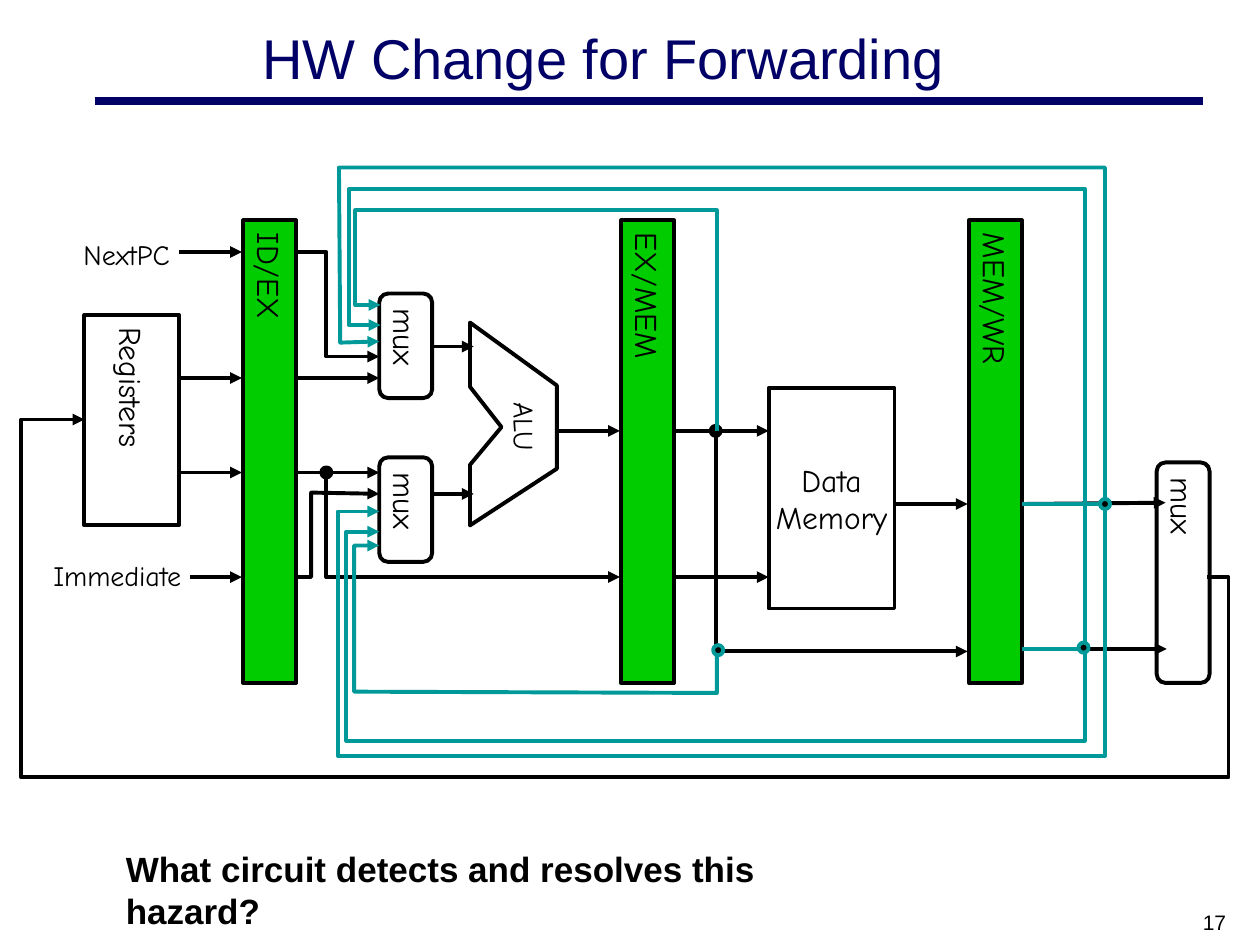
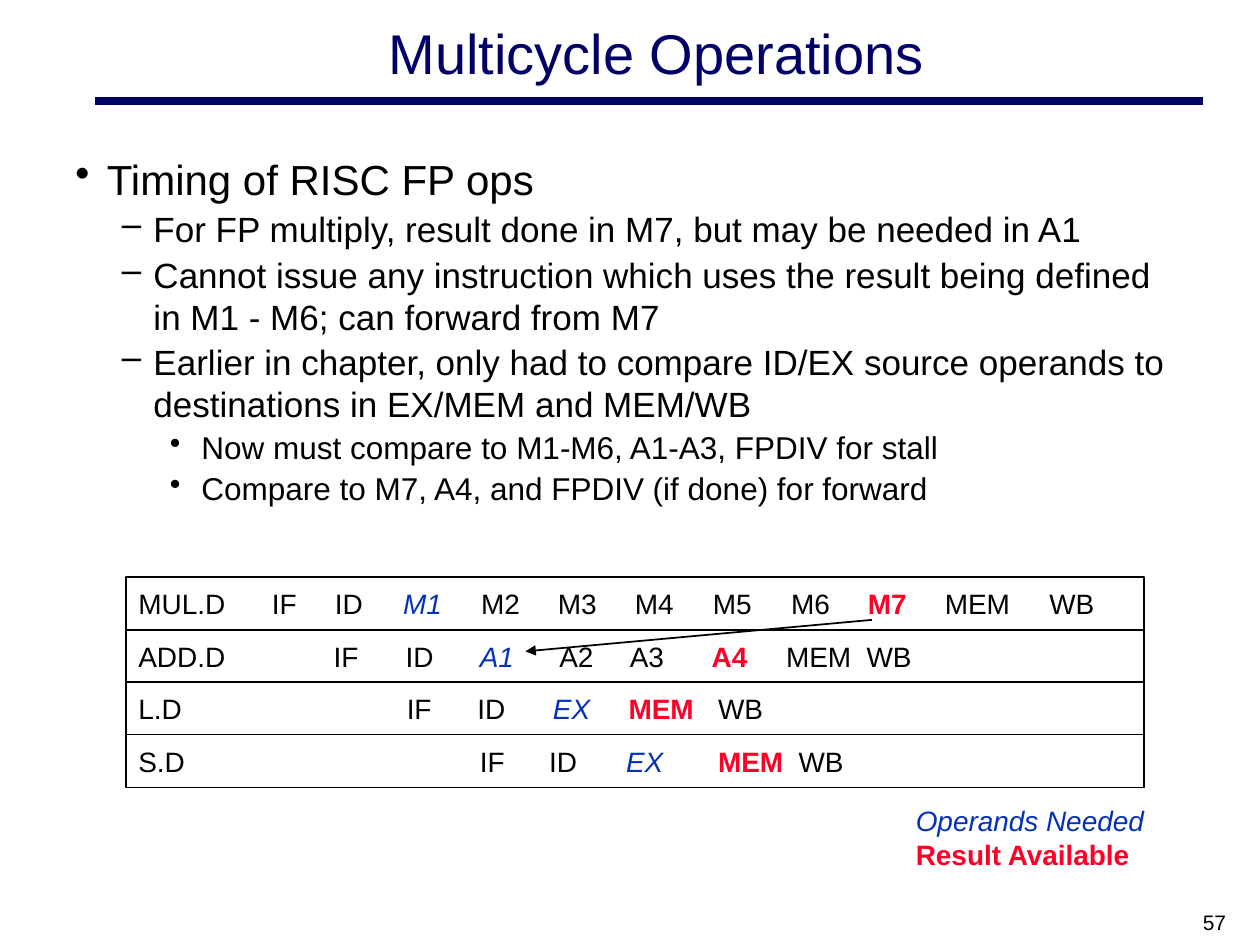
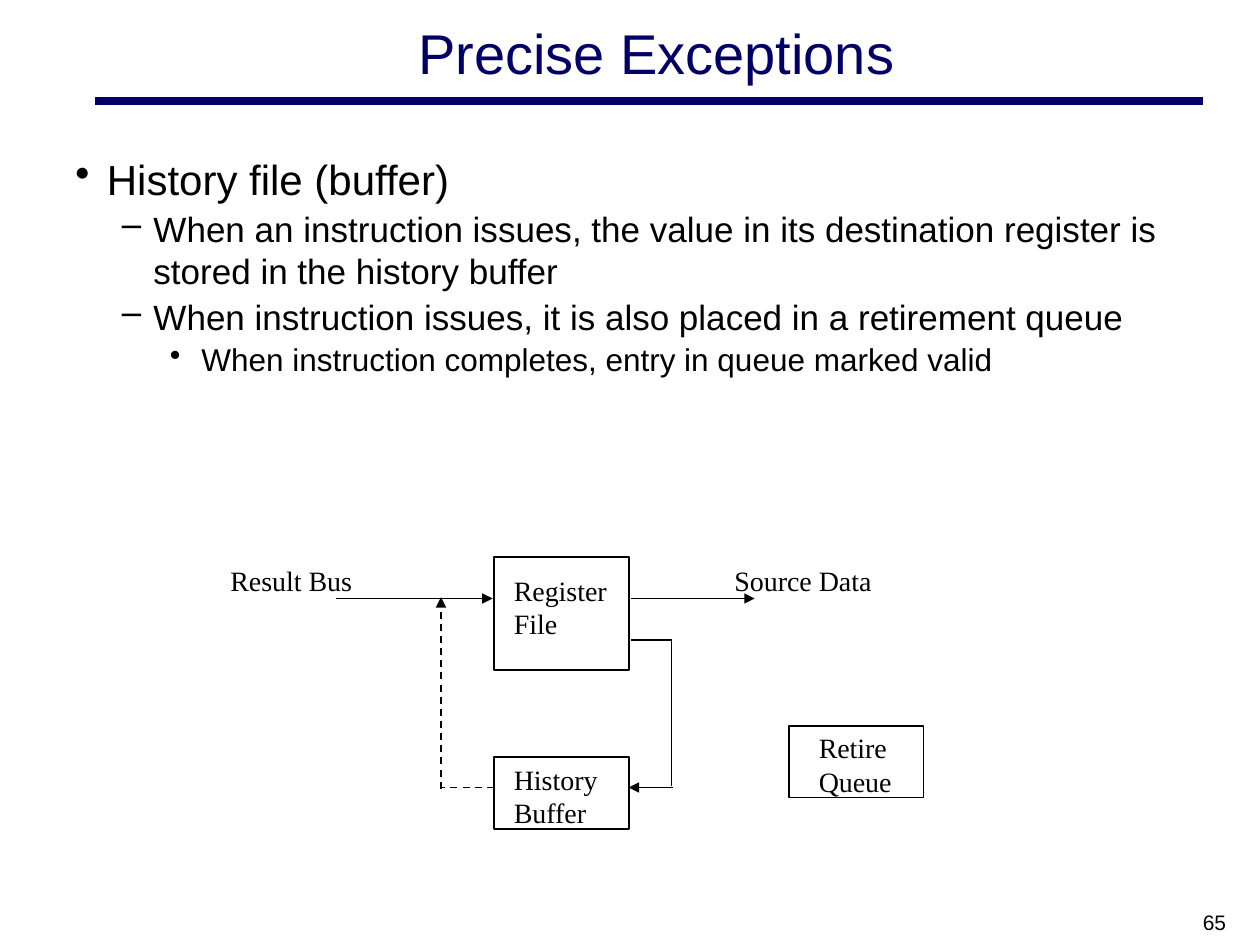
from dataclasses import dataclass
from typing import NamedTuple

from lxml.etree import SubElement
from pptx import Presentation
from pptx.dml.color import RGBColor
from pptx.enum.dml import MSO_LINE
from pptx.enum.shapes import MSO_CONNECTOR, MSO_SHAPE
from pptx.enum.text import MSO_ANCHOR, PP_ALIGN
from pptx.oxml.ns import qn
from pptx.shapes.autoshape import Shape
from pptx.slide import Slide
from pptx.util import Emu, Pt

PX = 9144
SLIDE_WIDTH, SLIDE_HEIGHT = 1000, 750
COLORS = {
    "navy": "000066",
    "black": "000000",
    "white": "FFFFFF",
    "latch": "00CC00",
    "forward": "009999",
    "needed": "0332B7",
    "available": "FC0128",
}
SANS, COMIC, SERIF = "Arial", "Comic Neue", "Times New Roman"
THICK, THIN = 2.25, 1


class Place(NamedTuple):
    left: int
    top: int
    width: int
    height: int

    def emu(self) -> list[Emu]:
        return [Emu(length * PX) for length in self]


class Level(NamedTuple):
    margin: int
    bullet: str
    size: int


class Stage(NamedTuple):
    name: str
    stop: int
    role: str = ""


@dataclass(frozen=True)
class Style:
    font: str = SANS
    size: int = 16
    color: str = "black"
    bold: bool = False
    italic: bool = False
    align: PP_ALIGN = PP_ALIGN.LEFT
    anchor: MSO_ANCHOR = MSO_ANCHOR.TOP
    wrap: bool = False
    vertical: bool = False
    inset_top: int = 5


@dataclass(frozen=True)
class Label:
    place: Place
    text: str
    style: Style
    rotation: int = 0


@dataclass(frozen=True)
class Block:
    place: Place
    text: str = ""
    style: Style = Style()
    kind: MSO_SHAPE = MSO_SHAPE.RECTANGLE
    fill: str = ""
    outline: str = "black"
    weight: float = THICK


@dataclass(frozen=True)
class Wire:
    points: tuple[tuple[int, int], ...]
    color: str = "black"
    weight: float = THICK
    arrow: bool = True
    dashed: bool = False


PART = Style(COMIC, 18, align=PP_ALIGN.CENTER, anchor=MSO_ANCHOR.MIDDLE)
UPRIGHT = Style(COMIC, 18, align=PP_ALIGN.CENTER, anchor=MSO_ANCHOR.MIDDLE, vertical=True)
SIGNAL = Style(COMIC, 16, align=PP_ALIGN.CENTER, anchor=MSO_ANCHOR.MIDDLE)
DIAGRAM = Style(SERIF, 16)
LEVELS = (Level(25, "•", 24), Level(62, "–", 20), Level(100, "•", 18))


def rgb(color: str) -> RGBColor:
    return RGBColor.from_string(COLORS[color])


def write_text(shape: Shape, text: str, style: Style) -> None:
    frame = shape.text_frame
    frame.word_wrap = style.wrap
    frame.vertical_anchor = style.anchor
    frame.margin_left = frame.margin_right = Emu(10 * PX)
    frame.margin_top, frame.margin_bottom = Emu(style.inset_top * PX), Emu(5 * PX)
    if style.vertical:
        shape.element.txBody.bodyPr.set("vert", "eaVert")
    frame.text = text
    for paragraph in frame.paragraphs:
        paragraph.alignment = style.align
        paragraph.font.name = style.font
        paragraph.font.size = Pt(style.size)
        paragraph.font.bold = style.bold
        paragraph.font.italic = style.italic
        paragraph.font.color.rgb = rgb(style.color)


def draw_label(slide: Slide, label: Label) -> None:
    shape = slide.shapes.add_textbox(*label.place.emu())
    shape.rotation = label.rotation
    write_text(shape, label.text, label.style)


def paint(shape: Shape, fill: str, outline: str, weight: float) -> None:
    shape.shadow.inherit = False
    if fill:
        shape.fill.solid()
        shape.fill.fore_color.rgb = rgb(fill)
    else:
        shape.fill.background()
    shape.line.color.rgb = rgb(outline)
    shape.line.width = Pt(weight)


def draw_block(slide: Slide, block: Block) -> Shape:
    shape = slide.shapes.add_shape(block.kind, *block.place.emu())
    if block.kind == MSO_SHAPE.ROUNDED_RECTANGLE:
        shape.adjustments[0] = 0.167
    paint(shape, block.fill, block.outline, block.weight)
    if block.text:
        write_text(shape, block.text, block.style)
    return shape


def draw_path(slide: Slide, points: tuple[tuple[int, int], ...], color: str,
              weight: float, close: bool = False) -> Shape:
    builder = slide.shapes.build_freeform(*points[0], scale=PX)
    builder.add_line_segments(points[1:], close=close)
    outline = builder.convert_to_shape()
    paint(outline, "", color, weight)
    return outline


def draw_wire(slide: Slide, wire: Wire) -> None:
    if len(wire.points) == 2:
        ends = [Emu(value * PX) for point in wire.points for value in point]
        path = slide.shapes.add_connector(MSO_CONNECTOR.STRAIGHT, *ends)
        path.line.color.rgb = rgb(wire.color)
        path.line.width = Pt(wire.weight)
        SubElement(path.element.spPr, qn("a:effectLst"))
    else:
        path = draw_path(slide, wire.points, wire.color, wire.weight)
    if wire.dashed:
        path.line.dash_style = MSO_LINE.DASH
    if wire.arrow:
        SubElement(path.element.spPr.find(qn("a:ln")), qn("a:tailEnd"), type="triangle")


def draw_dot(slide: Slide, left: int, top: int, outline: str = "black") -> None:
    draw_block(slide, Block(Place(left, top, 8, 8), kind=MSO_SHAPE.OVAL,
                            fill="black", outline=outline))


def start_slide(deck: Presentation, title: str, number: int,
                title_place: Place = Place(92, 8, 858, 67), inset_top: int = 7) -> Slide:
    slide = deck.slides.add_slide(deck.slide_layouts[6])
    draw_wire(slide, Wire(((75, 80), (955, 80)), "navy", 4.5, arrow=False))
    heading = Style(size=32, color="navy", align=PP_ALIGN.CENTER, wrap=True,
                    inset_top=inset_top)
    draw_label(slide, Label(title_place, title, heading))
    footer = Style(size=12, align=PP_ALIGN.RIGHT, wrap=True)
    draw_label(slide, Label(Place(750, 717, 233, 25), str(number), footer))
    return slide


def draw_outline(slide: Slide, points: list[tuple[int, str]]) -> None:
    body = slide.shapes.add_textbox(*Place(50, 117, 900, 553).emu())
    write_text(body, "\n".join(text for _, text in points), Style(wrap=True))
    for paragraph, (depth, _) in zip(body.text_frame.paragraphs, points):
        level = LEVELS[depth]
        paragraph.level = depth
        paragraph.font.size = Pt(level.size)
        paragraph.space_before = Pt(level.size / 10)
        properties = paragraph.font._element.getparent()
        properties.set("marL", str(level.margin * PX))
        properties.set("indent", str(-25 * PX))
        bullet = SubElement(properties, qn("a:buChar"), char=level.bullet)
        properties.find(qn("a:defRPr")).addprevious(bullet)


def build_forwarding(deck: Presentation) -> None:
    slide = start_slide(deck, "HW Change for Forwarding", 17, Place(80, 19, 798, 81), 0)

    for left, latch in ((769, "MEM/WR"), (193, "ID/EX"), (493, "EX/MEM")):
        draw_block(slide, Block(Place(left, 175, 42, 367), latch, UPRIGHT, fill="latch"))
    draw_block(slide, Block(Place(610, 308, 100, 175), "Data\nMemory", PART))
    draw_block(slide, Block(Place(67, 250, 75, 167), "Registers", UPRIGHT))
    for mux in (Place(301, 233, 42, 83), Place(301, 363, 42, 83), Place(918, 367, 42, 175)):
        draw_block(slide, Block(mux, "mux", UPRIGHT, MSO_SHAPE.ROUNDED_RECTANGLE))

    alu = ((373, 256), (442, 306), (442, 372), (373, 417), (373, 369), (398, 339), (373, 307))
    draw_path(slide, alu, "black", THICK, close=True)
    draw_label(slide, Label(Place(384, 320, 65, 37), "ALU", SIGNAL, 90))
    draw_label(slide, Label(Place(51, 183, 99, 37), "NextPC", SIGNAL))
    draw_label(slide, Label(Place(27, 438, 132, 37), "Immediate", SIGNAL))

    datapath = (
        ((342, 275), (376, 275)),
        ((342, 392), (376, 392)),
        ((142, 300), (192, 300)),
        ((142, 375), (192, 375)),
        ((234, 300), (301, 300)),
        ((234, 375), (301, 375)),
        ((142, 200), (192, 200)),
        ((234, 200), (259, 200), (259, 283), (301, 283)),
        ((151, 458), (192, 458)),
        ((234, 458), (247, 458), (247, 391), (301, 392)),
        ((259, 375), (259, 458), (492, 458)),
        ((534, 458), (610, 458)),
        ((442, 342), (492, 342)),
        ((534, 342), (610, 342)),
        ((710, 400), (768, 400)),
        ((568, 342), (568, 517), (768, 517)),
        ((813, 515), (926, 515)),
        ((811, 400), (925, 399)),
        ((958, 458), (975, 458), (975, 617), (17, 617), (17, 333), (67, 333)),
    )
    for points in datapath:
        draw_wire(slide, Wire(points))
    draw_dot(slide, 564, 338)
    draw_dot(slide, 255, 371)

    forwarding = (
        ((569, 517), (569, 550), (281, 549), (281, 433), (301, 433)),
        ((877, 400), (877, 133), (269, 133), (270, 272), (301, 271)),
        ((811, 515), (861, 515), (861, 588), (275, 588), (275, 422), (301, 422)),
        ((811, 400), (877, 400), (877, 600), (268, 600), (268, 406), (301, 406)),
        ((569, 342), (569, 167), (282, 167), (282, 242), (302, 242)),
        ((861, 517), (861, 150), (277, 150), (277, 258), (302, 258)),
    )
    for points in forwarding:
        draw_wire(slide, Wire(points, "forward"))
    for left, top in ((566, 512), (856, 510), (873, 396)):
        draw_dot(slide, left, top, "forward")

    question = "What circuit detects and resolves this hazard?"
    draw_label(slide, Label(Place(90, 668, 610, 43), question,
                            Style(size=20, bold=True, wrap=True)))


def draw_timing(slide: Slide, top: int, operation: str, stages: tuple[Stage, ...]) -> None:
    style = Style(anchor=MSO_ANCHOR.MIDDLE, wrap=True)
    row = draw_block(slide, Block(Place(100, top, 808, 42), operation, style,
                                  fill="white", weight=THIN))
    paragraph = row.text_frame.paragraphs[0]
    defaults = paragraph.font._element
    stops = SubElement(defaults.getparent(), qn("a:tabLst"))
    defaults.addprevious(stops)
    for stage in stages:
        SubElement(stops, qn("a:tab"), pos=str(stage.stop * PX), algn="l")
        run = paragraph.add_run()
        run.text = "\t" + stage.name
        if stage.role:
            run.font.color.rgb = rgb(stage.role)
            run.font.italic = stage.role == "needed"
            run.font.bold = stage.role == "available"


def build_multicycle(deck: Presentation) -> None:
    slide = start_slide(deck, "Multicycle Operations", 57)
    draw_outline(slide, [
        (0, "Timing of RISC FP ops"),
        (1, "For FP multiply, result done in M7, but may be needed in A1"),
        (1, "Cannot issue any instruction which uses the result being defined "
            "in M1 - M6; can forward from M7"),
        (1, "Earlier in chapter, only had to compare ID/EX source operands to "
            "destinations in EX/MEM and MEM/WB"),
        (2, "Now must compare to M1-M6, A1-A3, FPDIV for stall"),
        (2, "Compare to M7, A4, and FPDIV (if done) for forward"),
    ])

    multiply = tuple(Stage(f"M{step}", 210 + round(61.5 * (step - 1))) for step in range(2, 7))
    timings = {
        "MUL.D": (Stage("IF", 106), Stage("ID", 156), Stage("M1", 210, "needed"), *multiply,
                  Stage("M7", 579, "available"), Stage("MEM", 640), Stage("WB", 723)),
        "ADD.D": (Stage("IF", 155), Stage("ID", 212), Stage("A1", 271, "needed"),
                  Stage("A2", 334), Stage("A3", 390), Stage("A4", 455, "available"),
                  Stage("MEM", 514), Stage("WB", 578)),
        "L.D": (Stage("IF", 213), Stage("ID", 269), Stage("EX", 329, "needed"),
                Stage("MEM", 389, "available"), Stage("WB", 460)),
        "S.D": (Stage("IF", 271), Stage("ID", 326), Stage("EX", 387, "needed"),
                Stage("MEM", 460, "available"), Stage("WB", 524)),
    }
    for index, (operation, stages) in enumerate(timings.items()):
        draw_timing(slide, 458 + round(index * 125 / 3), operation, stages)

    key = Place(717, 633, 202, 37)
    draw_label(slide, Label(key, "Operands Needed", Style(color="needed", italic=True)))
    draw_label(slide, Label(key._replace(top=660), "Result Available",
                            Style(color="available", bold=True)))
    draw_wire(slide, Wire(((692, 492), (417, 517)), weight=THIN))


def build_exceptions(deck: Presentation) -> None:
    slide = start_slide(deck, "Precise Exceptions", 65)
    draw_outline(slide, [
        (0, "History file (buffer)"),
        (1, "When an instruction issues, the value in its destination register is "
            "stored in the history buffer"),
        (1, "When instruction issues, it is also placed in a retirement queue"),
        (2, "When instruction completes, entry in queue marked valid"),
    ])

    for storage in (Place(392, 442, 107, 90), Place(392, 601, 107, 57), Place(626, 576, 107, 57)):
        draw_block(slide, Block(storage, weight=THIN))
    names = (
        (Place(398, 450, 94, 63), "Register\nFile"),
        (Place(398, 600, 101, 63), "History\nBuffer"),
        (Place(173, 442, 117, 36), "Result Bus"),
        (Place(573, 442, 129, 36), "Source Data"),
        (Place(640, 575, 80, 63), "Retire\nQueue"),
    )
    for place, text in names:
        draw_label(slide, Label(place, text, DIAGRAM))

    buses = (
        Wire(((501, 475), (599, 475)), weight=THIN),
        Wire(((501, 508), (533, 508)), weight=THIN, arrow=False),
        Wire(((533, 509), (533, 624)), weight=THIN, arrow=False),
        Wire(((534, 625), (499, 625)), weight=THIN),
        Wire(((267, 475), (391, 475)), weight=THIN),
        Wire(((392, 625), (349, 625)), weight=THIN, arrow=False, dashed=True),
        Wire(((350, 626), (350, 474)), weight=THIN, dashed=True),
    )
    for bus in buses:
        draw_wire(slide, bus)


def main() -> None:
    deck = Presentation()
    deck.slide_width, deck.slide_height = Emu(SLIDE_WIDTH * PX), Emu(SLIDE_HEIGHT * PX)
    build_forwarding(deck)
    build_multicycle(deck)
    build_exceptions(deck)
    deck.save("out.pptx")


if __name__ == "__main__":
    main()
